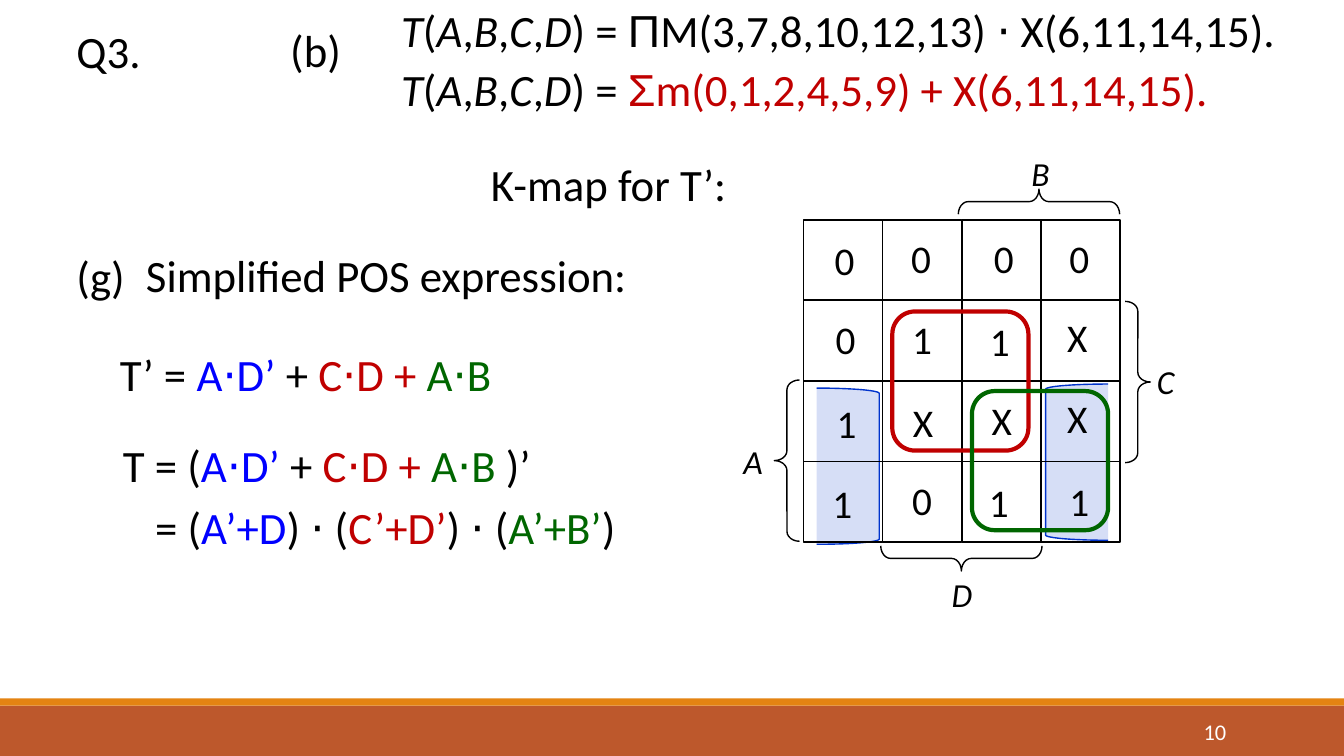
from lxml import etree
from pptx import Presentation
from pptx import util as u
from pptx.dml.color import RGBColor
from pptx.enum import shapes, text
from pptx.oxml import ns

PX = 9144  # EMU per px, 100 px to the inch
FONT = "Calibri"
COLOURS = {
    "black": "000000", "white": "FFFFFF", "red": "C00000", "green": "006600",
    "blue": "0000FF", "bracket": "0033CC", "rust": "BD582C", "orange": "E48312",
}
KIND = shapes.MSO_SHAPE
ALIGN = text.PP_ALIGN

# K-map values: (value, left, top) for each cell, row by row
KMAP_VALUES = [
    [("0", 798, 230), ("0", 874, 228), ("0", 956, 228), ("0", 1031, 228)],
    [("0", 799, 308), ("1", 875, 308), ("1", 952, 310), ("X", 1029, 306)],
    [("1", 800, 391), ("X", 876, 390), ("X", 954, 388), ("X", 1029, 386)],
    [("1", 796, 471), ("0", 875, 468), ("1", 951, 470), ("1", 1031, 469)],
]
KMAP_LEFT, KMAP_TOP = 797, 218
CELL_WIDTH, CELL_HEIGHT = 78.4, 80

VARIABLES = [("A", 721, 433), ("B", 1006, 147), ("C", 1130, 353), ("D", 928, 564)]
BRACES = [  # kind, left, top, rotation
    (KIND.RIGHT_BRACE, 1116, 299, 0),
    (KIND.LEFT_BRACE, 768, 377, 0),
    (KIND.RIGHT_BRACE, 1018, 120, 270),
    (KIND.RIGHT_BRACE, 941, 474, 90),
]
HEADINGS = [
    ("Q3.", 66, 25, 97), ("(b)", 278, 24, 86), ("K-map for T’:", 477, 157, 330),
    ("(g)", 66, 248, 86), ("Simplified POS expression:", 135, 247, 514),
]
SUM_OF_TERMS = [("A⋅D’ ", "blue"), ("+ ", "black"), ("C⋅D + ", "red")]


def emu(*lengths):
    return [u.Emu(round(length * PX)) for length in lengths]


def colour(name):
    return RGBColor.from_string(COLOURS[name])


def add_shape(page, kind, at, fill=None, line=None, weight=1, alpha=None):
    shape = page.shapes.add_shape(kind, *emu(*at))
    shape.shadow.inherit = False
    if fill:
        shape.fill.solid()
        shape.fill.fore_color.rgb = colour(fill)
        if alpha:
            tint = shape.element.spPr.find(".//" + ns.qn("a:srgbClr"))
            etree.SubElement(tint, ns.qn("a:alpha"), val=str(alpha * 1000))
    else:
        shape.fill.background()
    if line:
        shape.line.color.rgb = colour(line)
        shape.line.width = u.Pt(weight)
    else:
        shape.line.fill.background()
    return shape


def add_text(page, at, lines, size=32, align=ALIGN.LEFT, spacing=None, after=0):
    """Each line is a list of spans: (wording, colour, optional font settings)."""
    box = page.shapes.add_textbox(*emu(*at))
    frame = box.text_frame
    frame.word_wrap = True
    for number, spans in enumerate(lines):
        para = frame.add_paragraph() if number else frame.paragraphs[0]
        para.alignment = align
        para.space_after = u.Pt(after)
        if spacing:
            para.line_spacing = spacing
        para.font.size = u.Pt(size)
        para.font.name = FONT
        for wording, shade, *settings in spans:
            span = para.add_run()
            span.text = wording
            span.font.color.rgb = colour(shade)
            for setting in settings:
                for key, value in setting.items():
                    setattr(span.font, key, value)
    return box


def add_function(page, top, width, symbol, terms, shade):
    """T(A,B,C,D) = followed by a list of terms."""
    spans = [("T", "black", {"italic": True}), ("(", "black")]
    for letter in "ABCD":
        spans.append((letter, "black", {"italic": True}))
        spans.append((") = " if letter == "D" else ",", "black"))
    spans += [(symbol, shade, {"name": "Arial"}), (terms, shade)]
    add_text(page, (388, top, width, 72), [spans], spacing=0.9)


def add_kmap(page):
    # Shaded brackets behind the grid
    for kind, left, top in ((KIND.LEFT_BRACKET, 1037, 381),
                            (KIND.RIGHT_BRACKET, 810, 385)):
        add_shape(page, kind, (left, top, 62, 155), "bracket", "bracket", alpha=16)

    # Grid
    for row in range(4):
        for column in range(4):
            cell = (KMAP_LEFT + column * CELL_WIDTH, KMAP_TOP + row * CELL_HEIGHT,
                    CELL_WIDTH, CELL_HEIGHT)
            add_shape(page, KIND.RECTANGLE, cell, line="black", weight=1.25)

    # Variable names and braces
    for name, left, top in VARIABLES:
        add_text(page, (left, top, 52, 50), [[(name, "black", {"italic": True})]],
                 size=24, align=ALIGN.CENTER)
    for kind, left, top, rotation in BRACES:
        brace = add_shape(page, kind, (left, top, 25, 160), line="black")
        brace.adjustments[0] = 0.39
        brace.rotation = rotation

    # Values
    for row in KMAP_VALUES:
        for value, left, top in row:
            add_text(page, (left, top, 79, 57), [[(value, "black")]],
                     size=28, align=ALIGN.CENTER)

    # Groups
    for shade, left, top in (("red", 885, 309), ("green", 964, 388)):
        add_shape(page, KIND.ROUNDED_RECTANGLE, (left, top, 135, 138),
                  line=shade, weight=3)


def add_answer(page):
    add_text(page, (109, 345, 442, 72),
             [[("T’ = ", "black"), *SUM_OF_TERMS, ("A⋅B", "green")]], spacing=0.9)
    answer = add_text(page, (112, 429, 591, 164), [
        [("T = (", "black"), *SUM_OF_TERMS, ("A⋅B ", "green"), (")’", "black")],
        [("= (", "black"), ("A’+D", "blue"), (") ⋅ (", "black"), ("C’+D’", "red"),
         (") ⋅ (", "black"), ("A’+B’", "green"), (")", "black")],
    ], after=6)
    # Indent the second line under the first
    indent, = emu(32)
    second = answer.text_frame.paragraphs[1]
    second._p.get_or_add_pPr().set("marL", str(indent))


def add_footer(page):
    add_shape(page, KIND.RECTANGLE, (0, 700, 1333, 50), "rust")
    add_shape(page, KIND.RECTANGLE, (0, 693, 1333, 7), "orange")
    number = add_text(page, (1083, 706, 143, 40), [[("10", "white")]],
                      size=16, align=ALIGN.RIGHT)
    number.text_frame.vertical_anchor = text.MSO_ANCHOR.MIDDLE


def main():
    deck = Presentation()
    deck.slide_width, deck.slide_height = emu(1333, 750)
    page = deck.slides.add_slide(deck.slide_layouts[6])

    add_footer(page)
    for wording, left, top, width in HEADINGS:
        add_text(page, (left, top, width, 72), [[(wording, "black")]], spacing=0.9)
    add_function(page, 4, 922, "Π", "M(3,7,8,10,12,13) ⋅ X(6,11,14,15).", "black")
    add_function(page, 62, 857, "Σ", "m(0,1,2,4,5,9) + X(6,11,14,15).", "red")
    add_kmap(page)
    add_answer(page)

    deck.save("out.pptx")


if __name__ == "__main__":
    main()
